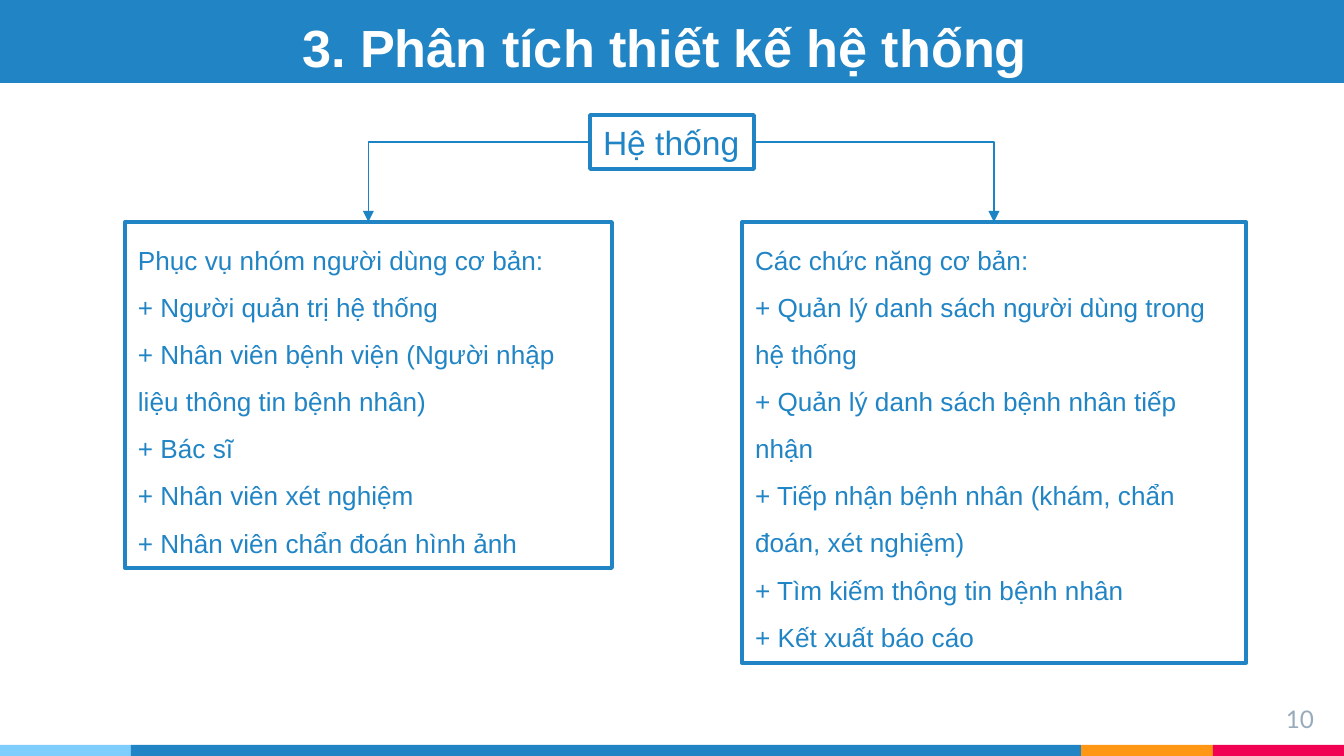
import pptx
import pptx.util
from lxml import etree
from pptx.dml.color import RGBColor
from pptx.enum.shapes import MSO_CONNECTOR, MSO_SHAPE
from pptx.enum.text import MSO_ANCHOR, MSO_AUTO_SIZE, PP_ALIGN
from pptx.oxml.ns import qn

COLORS = {"blue": "2185C5", "arrow": "1C83C5", "sky": "7ECEFD", "orange": "FF9715",
          "pink": "F20253", "white": "FFFFFF", "grey": "97ABBC"}
W, H = 1344, 756

TITLE = "3. Phân tích thiết kế hệ thống"
ROOT = "Hệ thống"
PAGE = "10"
PANELS = [
    ((125, 222, 487, 346), [
        "Phục vụ nhóm người dùng cơ bản:",
        "+ Người quản trị hệ thống",
        "+ Nhân viên bệnh viện (Người nhập liệu thông tin bệnh nhân)",
        "+ Bác sĩ",
        "+ Nhân viên xét nghiệm",
        "+ Nhân viên chẩn đoán hình ảnh",
    ]),
    ((742, 222, 504, 441), [
        "Các chức năng cơ bản:",
        "+ Quản lý danh sách người dùng trong hệ thống",
        "+ Quản lý danh sách bệnh nhân tiếp nhận",
        "+ Tiếp nhận bệnh nhân (khám, chẩn đoán, xét nghiệm)",
        "+ Tìm kiếm thông tin bệnh nhân",
        "+ Kết xuất báo cáo",
    ]),
]
FOOTER = [("sky", 131), ("blue", 950), ("orange", 132), ("pink", 131)]
FOOTER_H = 11
LEFT_SIDE, RIGHT_SIDE, TOP_SIDE = 1, 3, 0


def px(n):
    return pptx.util.Emu(round(n * 914400 / 134.4))


def rgb(name):
    return RGBColor.from_string(COLORS[name])


def rect(s, box, fill, line=None):
    sp = s.shapes.add_shape(MSO_SHAPE.RECTANGLE, *map(px, box))
    sp.shadow.inherit = False
    sp.fill.solid()
    sp.fill.fore_color.rgb = rgb(fill)
    if line:
        sp.line.color.rgb = rgb(line)
        sp.line.width = pptx.util.Pt(2)
    else:
        sp.line.fill.background()
    return sp


def write(sp, lines, size, color, font="Arial", bold=False, align=PP_ALIGN.LEFT,
          spacing=1.0, inset_y=7, **frame):
    tf = sp.text_frame
    tf.text = "\n".join(lines)
    frame = {"word_wrap": True, "auto_size": MSO_AUTO_SIZE.NONE,
             "vertical_anchor": MSO_ANCHOR.TOP,
             "margin_left": px(13), "margin_right": px(13),
             "margin_top": px(inset_y), "margin_bottom": px(inset_y), **frame}
    for name, value in frame.items():
        setattr(tf, name, value)
    for p in tf.paragraphs:
        p.alignment = align
        p.line_spacing = spacing
        for name, value in {"size": pptx.util.Pt(size), "name": font, "bold": bold}.items():
            setattr(p.font, name, value)
            setattr(p.runs[0].font, name, value)
        p.runs[0].font.color.rgb = rgb(color)


def elbow_arrow(s, start, side, end):
    """Join a side of start to the top of end with a one-bend arrow."""
    c = s.shapes.add_connector(MSO_CONNECTOR.ELBOW, 0, 0, 0, 0)
    c.begin_connect(start, side)
    c.end_connect(end, TOP_SIDE)
    c.line.color.rgb = rgb("arrow")
    c.line.width = pptx.util.Pt(0.75)
    props = c._element.spPr
    props.find(qn("a:prstGeom")).set("prst", "bentConnector2")
    etree.SubElement(props.find(qn("a:ln")), qn("a:tailEnd"), type="triangle")
    etree.SubElement(props, qn("a:effectLst"))


def main():
    prs = pptx.Presentation()
    prs.slide_width, prs.slide_height = px(W), px(H)
    s = prs.slides.add_slide(prs.slide_layouts[5])

    x = 0
    for color, width in FOOTER:
        rect(s, (x, H - FOOTER_H, width, FOOTER_H), color)
        x += width
    number = s.shapes.add_textbox(*map(px, (1246, 691, 81, 46)))
    write(number, [PAGE], 13, "grey", font="Lato", align=PP_ALIGN.RIGHT, inset_y=13)

    rect(s, (0, 0, W, 81), "blue", "blue")
    title = s.shapes.title
    title.left, title.top, title.width, title.height = map(px, (289, 9, 767, 82))
    write(title, [TITLE], 28, "white", bold=True, inset_y=13,
          vertical_anchor=MSO_ANCHOR.BOTTOM)
    s.shapes._spTree.append(title._element)

    root = rect(s, (590, 115, 164, 54), "white", "blue")
    write(root, [ROOT], 18, "blue", word_wrap=False,
          auto_size=MSO_AUTO_SIZE.SHAPE_TO_FIT_TEXT)
    panels = []
    for box, lines in PANELS:
        panel = rect(s, box, "white", "blue")
        write(panel, lines, 14, "blue", spacing=1.5,
              auto_size=MSO_AUTO_SIZE.SHAPE_TO_FIT_TEXT)
        panels.append(panel)
    for side, panel in zip((LEFT_SIDE, RIGHT_SIDE), panels):
        elbow_arrow(s, root, side, panel)

    prs.save("out.pptx")


if __name__ == "__main__":
    main()
